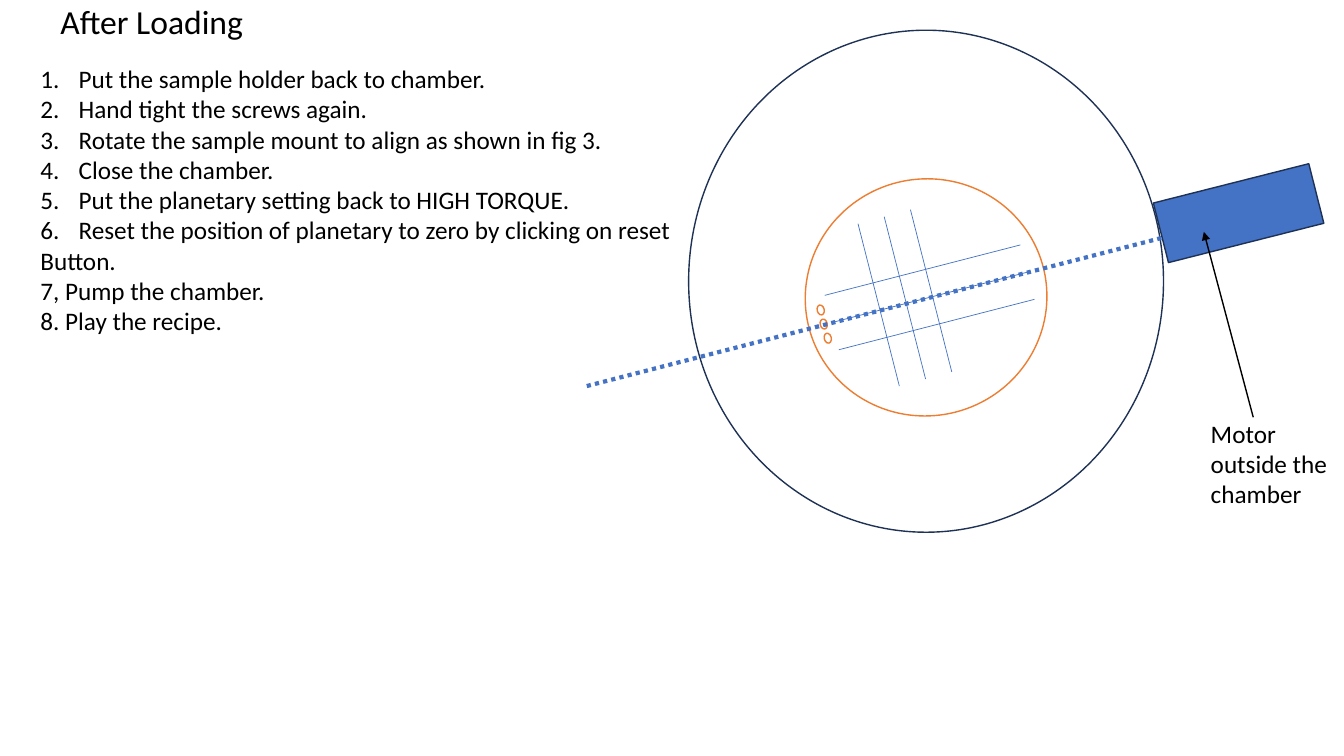
from dataclasses import dataclass

from lxml import etree
from pptx import Presentation
from pptx import util as u
from pptx.dml.color import RGBColor
from pptx.enum import dml, shapes, text
from pptx.oxml.ns import qn

PX = 9144  # EMU, 100 px to the inch
BLACK = RGBColor(0x00, 0x00, 0x00)
NAVY = RGBColor(0x1E, 0x32, 0x56)
BLUE = RGBColor(0x44, 0x72, 0xC4)
ORANGE = RGBColor(0xED, 0x7D, 0x31)
FONT = "Calibri"
HOLDER_TURN = 255.6
MOTOR_TURN = 345.8
LIST_INDENT = 38

NUMBERED_STEPS = [
    "Put the sample holder back to chamber.",
    "Hand tight the screws again.",
    "Rotate the sample mount to align as shown in fig 3.",
    "Close the chamber.",
    "Put the planetary setting back to HIGH TORQUE.",
    "Reset the position of planetary to zero by clicking on reset",
]
PLAIN_STEPS = ["Button.", "7, Pump the chamber.", "8. Play the recipe."]


@dataclass
class Part:
    kind: shapes.MSO_SHAPE
    left: int
    top: int
    width: int
    height: int
    color: RGBColor
    turn: float = 0
    fill: RGBColor | None = None


@dataclass
class Line:
    x1: int
    y1: int
    x2: int
    y2: int
    color: RGBColor = BLUE
    weight: float = 0.5
    dotted: bool = False
    arrow: bool = False


OVAL = shapes.MSO_SHAPE.OVAL
CHAMBER = Part(OVAL, 683, 30, 471, 498, NAVY)
HOLDER = Part(OVAL, 801, 175, 235, 240, ORANGE, HOLDER_TURN)
PINS = [Part(OVAL, 809 + 7 * i // 2, 304 + 14 * i, 10, 7, ORANGE, HOLDER_TURN)
        for i in range(3)]
ROWS = [Line(x, y, x + 194, y - 50)
        for x, y in ((818 + 7 * i, 293 + 27 * i) for i in range(3))]
COLUMNS = [Line(x, y, x + 41, y + 161)
           for x, y in ((851 + 26 * i, 222 - 7 * i) for i in range(3))]
AXIS = Line(582, 383, 1261, 208, weight=3, dotted=True)
MOTOR = Part(shapes.MSO_SHAPE.RECTANGLE, 1149, 181, 159, 61, NAVY, MOTOR_TURN, BLUE)
POINTER = Line(1243, 414, 1194, 230, BLACK, 1, arrow=True)


def draw_part(parent, part: Part) -> None:
    sp = parent.add_shape(part.kind, part.left * PX, part.top * PX,
                          part.width * PX, part.height * PX)
    sp.shadow.inherit = False
    sp.rotation = part.turn
    if part.fill is None:
        sp.fill.background()
    else:
        sp.fill.solid()
        sp.fill.fore_color.rgb = part.fill
    sp.line.color.rgb = part.color
    sp.line.width = u.Pt(1)


def draw_line(parent, line: Line) -> None:
    cxn = parent.add_connector(shapes.MSO_CONNECTOR.STRAIGHT, line.x1 * PX,
                               line.y1 * PX, line.x2 * PX, line.y2 * PX)
    cxn.line.color.rgb = line.color
    cxn.line.width = u.Pt(line.weight)
    if line.dotted:
        cxn.line.dash_style = dml.MSO_LINE.ROUND_DOT
    sp_pr = cxn._element.spPr
    if line.arrow:
        etree.SubElement(sp_pr.find(qn("a:ln")), qn("a:tailEnd"), type="triangle")
    etree.SubElement(sp_pr, qn("a:effectLst"))


def place(sp, left: int, top: int, width: int, height: int):
    """Move a text shape and return its text frame, wrapped from the top."""
    sp.left, sp.top, sp.width, sp.height = (v * PX for v in (left, top, width, height))
    tf = sp.text_frame
    tf.word_wrap = True
    tf.auto_size = text.MSO_AUTO_SIZE.NONE
    tf.vertical_anchor = text.MSO_ANCHOR.TOP
    return tf


def style(p, size: int) -> None:
    p.font.name = FONT
    p.font.size = u.Pt(size)
    p.font.color.rgb = BLACK
    p.space_before = u.Pt(0)


def set_numbering(p, numbered: bool) -> None:
    p_pr = p._p.get_or_add_pPr()
    indent = LIST_INDENT * PX if numbered else 0
    p_pr.set("marL", str(indent))
    p_pr.set("indent", str(-indent))
    bullet = etree.Element(qn("a:buAutoNum" if numbered else "a:buNone"))
    if numbered:
        bullet.set("type", "arabicPeriod")
    p_pr.find(qn("a:defRPr")).addprevious(bullet)


def write_title(sp) -> None:
    tf = place(sp, 0, 0, 301, 48)
    tf.text = "After Loading"
    p = tf.paragraphs[0]
    p.alignment = text.PP_ALIGN.CENTER
    p.line_spacing = 0.9
    style(p, 24)


def write_steps(sp) -> None:
    tf = place(sp, 30, 58, 658, 374)
    tf.text = "\n".join(NUMBERED_STEPS + PLAIN_STEPS)
    for i, p in enumerate(tf.paragraphs):
        style(p, 18)
        set_numbering(p, i < len(NUMBERED_STEPS))


def write_motor_label(sp) -> None:
    tf = place(sp, 1191, 410, 151, 162)
    tf.text = "Motor outside the chamber"
    style(tf.paragraphs[0], 18)


def main() -> None:
    prs = Presentation()
    prs.slide_width, prs.slide_height = 1333 * PX, 750 * PX
    slide = prs.slides.add_slide(prs.slide_layouts[1])
    write_title(slide.shapes.title)
    write_steps(slide.placeholders[1])

    draw_part(slide.shapes, CHAMBER)
    holder = slide.shapes.add_group_shape().shapes
    for part in [HOLDER, *PINS]:
        draw_part(holder, part)
    for line in ROWS + COLUMNS:
        draw_line(holder, line)
    draw_line(slide.shapes, AXIS)
    draw_part(slide.shapes, MOTOR)
    draw_line(slide.shapes, POINTER)
    write_motor_label(slide.shapes.add_textbox(0, 0, PX, PX))
    prs.save("out.pptx")


if __name__ == "__main__":
    main()
